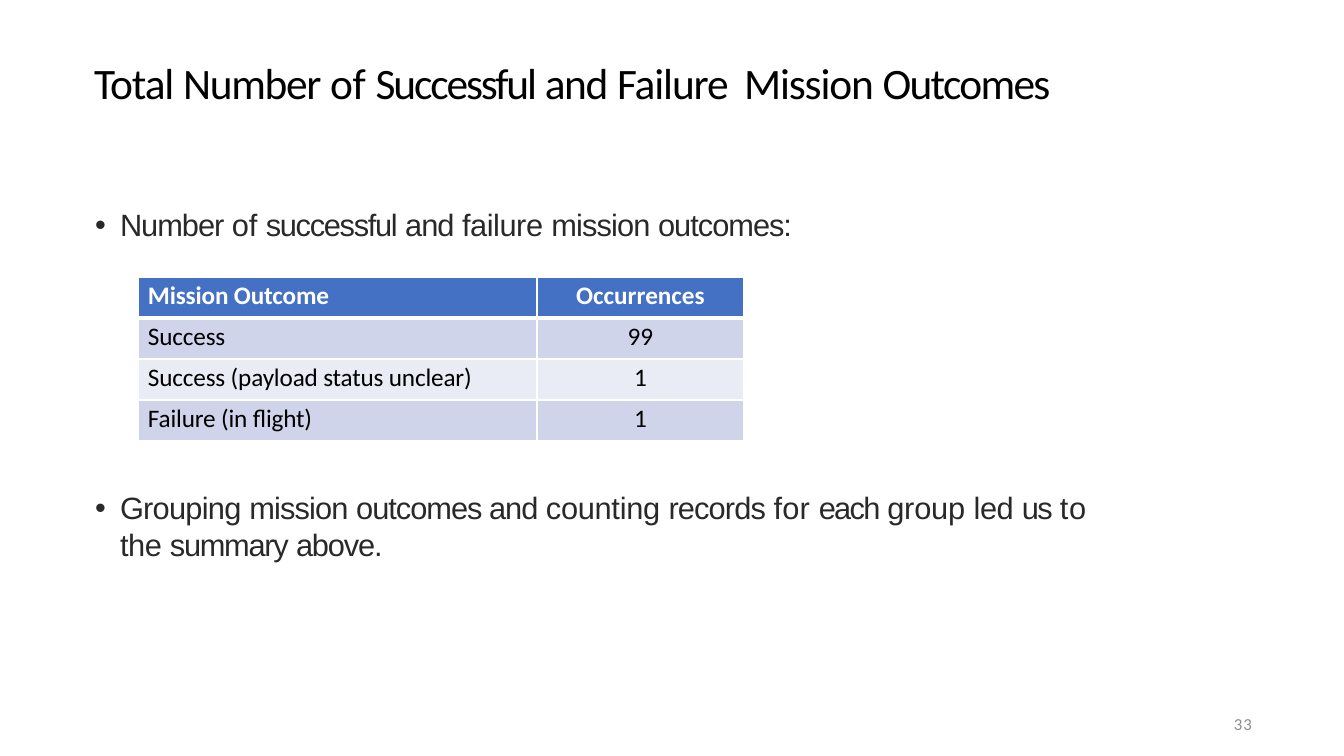
from dataclasses import dataclass

from lxml import etree
from pptx import Presentation
from pptx.dml.color import RGBColor
from pptx.enum.text import MSO_ANCHOR, PP_ALIGN
from pptx.oxml.ns import qn
from pptx.util import Pt

LEFT, CENTER, RIGHT = PP_ALIGN.LEFT, PP_ALIGN.CENTER, PP_ALIGN.RIGHT
TOP, MIDDLE = MSO_ANCHOR.TOP, MSO_ANCHOR.MIDDLE
EMU_PER_PX = 914400 / 100.8


@dataclass(frozen=True)
class Theme:
    heading_font: str = "Calibri"
    body_font: str = "Arial"
    title_size: int = 31
    body_size: int = 22
    table_size: int = 18
    number_size: int = 12
    black: str = "000000"
    white: str = "FFFFFF"
    body: str = "292929"
    muted: str = "8C8C8C"
    header: str = "4471C4"
    bands: tuple = ("CFD4EA", "E9EBF5")


THEME = Theme()

TITLE = [("Total ", -0.8), ("Number ", -0.9), ("of ", -0.1), ("Successful ", -1.5),
         ("and ", -0.9), ("Failure", -0.8), (" ", 4), ("Mission ", -0.8), ("Outcomes", -1.2)]
INTRO = [("Number ", -0.7), ("of ", -0.1), ("successful ", -0.9), ("and ", -0.7),
         ("failure ", -0.3), ("mission ", -0.6), ("outcomes:", -0.7)]
SUMMARY = [("Grouping ", -0.5), ("mission ", -0.6), ("outcomes and ", -0.7), ("counting ", -0.2),
           ("records ", -0.6), ("for ", 0.1), ("each ", -1.2), ("group ", -0.1), ("led ", -0.3),
           ("us ", -1.1), ("to ", 0.5), ("the ", -0.3), ("summary ", -0.9), ("above.", -0.8)]
OUTCOMES = [("Mission Outcome", "Occurrences"), ("Success", "99"),
            ("Success (payload status unclear)", "1"), ("Failure (in flight)", "1")]


def px(length):
    return round(length * EMU_PER_PX)


def write(frame, pieces, font, size, color, bold=False, align=LEFT, bullet=False, line=None):
    paragraph = frame.paragraphs[0]
    paragraph.alignment = align
    if line:
        paragraph.line_spacing = Pt(line)
    if bullet:
        properties = paragraph._p.get_or_add_pPr()
        properties.set("marL", str(px(26)))
        properties.set("indent", str(px(-25)))
        etree.SubElement(properties, qn("a:buFont"), typeface=font)
        etree.SubElement(properties, qn("a:buChar"), char="•")
    paragraph.font.size = Pt(size)
    paragraph.font.color.rgb = RGBColor.from_string(color)
    for words, spacing in pieces:
        run = paragraph.add_run()
        run.text = words
        run.font.name = font
        run.font.size = Pt(size)
        run.font.bold = bold
        run.font.color.rgb = RGBColor.from_string(color)
        run._r.get_or_add_rPr().set("spc", str(round(spacing * 100)))


def add_text(slide, left, top, width, height, pieces, anchor=TOP, inset=0, **style):
    frame = slide.shapes.add_textbox(px(left), px(top), px(width), px(height)).text_frame
    frame.word_wrap = True
    frame.vertical_anchor = anchor
    frame.margin_left = frame.margin_right = frame.margin_bottom = 0
    frame.margin_top = px(inset)
    write(frame, pieces, **style)


def add_borders(cell, widths):
    properties = cell._tc.get_or_add_tcPr()
    for index, (side, width) in enumerate(widths.items()):
        border = etree.Element(qn(f"a:ln{side}"), w=str(Pt(width)))
        fill = etree.SubElement(border, qn("a:solidFill"))
        etree.SubElement(fill, qn("a:srgbClr"), val=THEME.white)
        properties.insert(index, border)


def add_outcome_table(slide, left, top, column_widths, row_height):
    table = slide.shapes.add_table(
        len(OUTCOMES), len(column_widths), px(left), px(top),
        px(sum(column_widths)), px(row_height * len(OUTCOMES))).table
    table.first_row = table.horz_banding = False
    for column, width in zip(table.columns, column_widths):
        column.width = px(width)
    for row_index, outcome in enumerate(OUTCOMES):
        is_header = row_index == 0
        table.rows[row_index].height = px(row_height)
        background = THEME.header if is_header else THEME.bands[(row_index - 1) % 2]
        for column_index, words in enumerate(outcome):
            is_count = column_index == 1
            cell = table.cell(row_index, column_index)
            cell.margin_left = px(0 if is_count else 10)
            cell.margin_right = cell.margin_bottom = 0
            cell.margin_top = px(4)
            cell.fill.solid()
            cell.fill.fore_color.rgb = RGBColor.from_string(background)
            add_borders(cell, {"L": 1, "R": 1, "T": 3 if row_index == 1 else 1,
                               "B": 3 if is_header else 1})
            write(cell.text_frame, [(words, 0 if is_count else -0.1)],
                  font=THEME.heading_font, size=THEME.table_size, bold=is_header,
                  color=THEME.white if is_header else THEME.black,
                  align=CENTER if is_count else LEFT)


def main():
    deck = Presentation()
    deck.slide_width, deck.slide_height = px(1344), px(756)
    slide = deck.slides.add_slide(deck.slide_layouts[6])

    bullet_style = dict(inset=3, font=THEME.body_font, size=THEME.body_size,
                        color=THEME.body, bullet=True)
    add_text(slide, 94, 53, 1079, 55, TITLE, anchor=MIDDLE, inset=3,
             font=THEME.heading_font, size=THEME.title_size, color=THEME.black)
    add_text(slide, 94, 203, 707, 39, INTRO, **bullet_style)
    add_outcome_table(slide, 138, 277, (399, 207), 41)
    add_text(slide, 94, 486, 1009, 77, SUMMARY, **bullet_style)
    add_text(slide, 950, 701, 302, 40, [("33", 0.8)], anchor=MIDDLE,
             font=THEME.heading_font, size=THEME.number_size, color=THEME.muted,
             align=RIGHT, line=18.4)
    deck.save("out.pptx")


if __name__ == "__main__":
    main()
